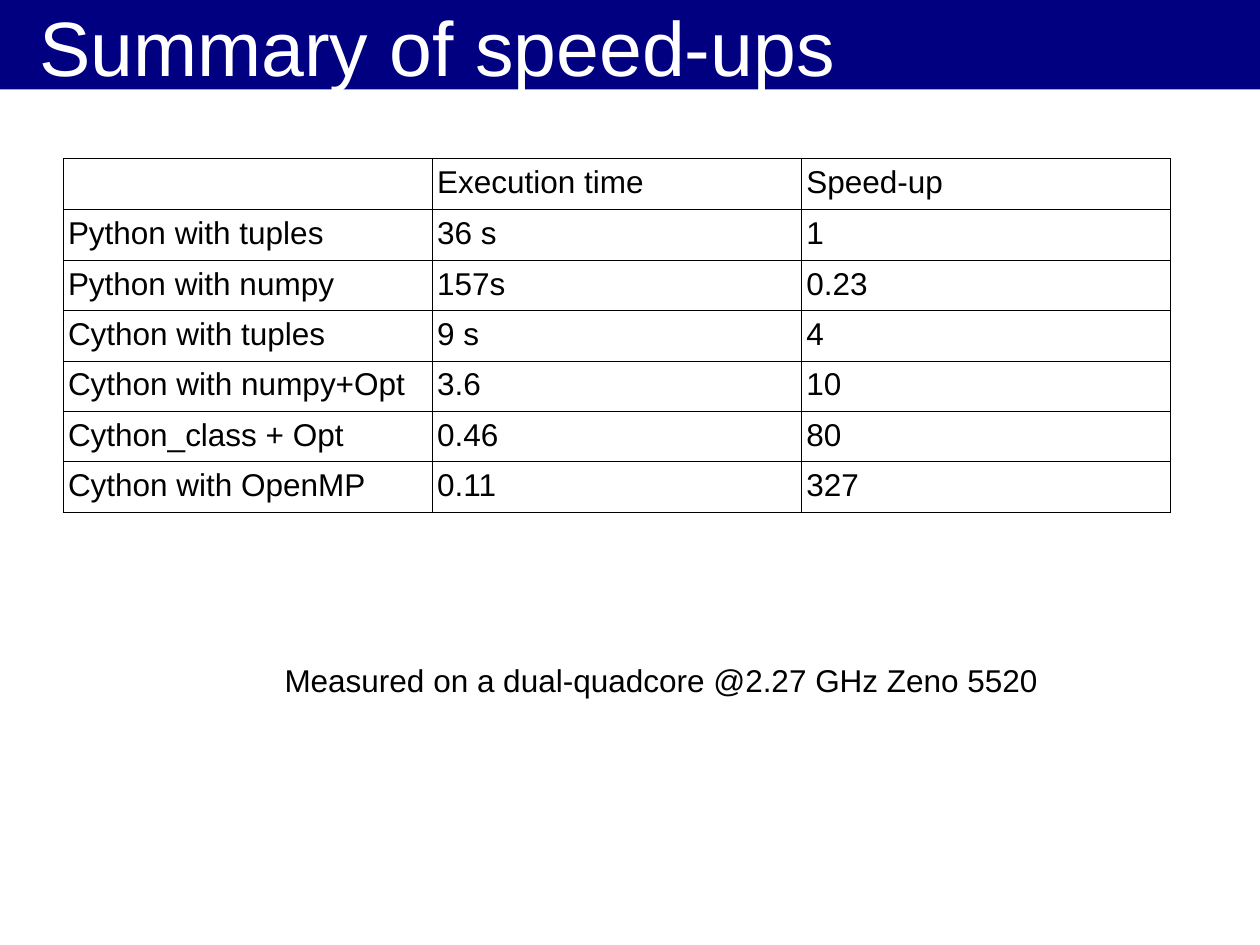
import pptx
import pptx.util
import pptx.dml.color
import pptx.enum.shapes
import pptx.enum.text
import pptx.oxml
import pptx.oxml.ns

Inches = pptx.util.Inches
Pt = pptx.util.Pt
RGBColor = pptx.dml.color.RGBColor
ANCHOR = pptx.enum.text.MSO_ANCHOR

TITLE = "Summary of speed-ups"
ROWS = [
    ("", "Execution time", "Speed-up"),
    ("Python with tuples", "36 s", "1"),
    ("Python with numpy", "157s", "0.23"),
    ("Cython with tuples", "9 s", "4"),
    ("Cython with numpy+Opt", "3.6", "10"),
    ("Cython_class + Opt", "0.46", "80"),
    ("Cython with OpenMP", "0.11", "327"),
]
NOTE = "Measured on a dual-quadcore @2.27 GHz Zeno 5520"

NAVY = RGBColor(0, 0, 128)
WHITE = RGBColor(255, 255, 255)
BLACK = RGBColor(0, 0, 0)
COL_W, ROW_H = 2.93, 0.4


def write(tf, text, size=18, color=BLACK):
    p = tf.paragraphs[0]
    p.alignment = pptx.enum.text.PP_ALIGN.LEFT
    p.font.size = Pt(size)
    if text:
        r = p.add_run()
        r.text = text
        r.font.name = "Arial"
        r.font.size = Pt(size)
        r.font.color.rgb = color


def add_borders(cell):
    pr = cell._tc.get_or_add_tcPr()
    for i, side in enumerate(("lnL", "lnR", "lnT", "lnB")):
        pr.insert(i, pptx.oxml.parse_xml(
            f'<a:{side} {pptx.oxml.ns.nsdecls("a")} w="{Pt(0.57)}">'
            f'<a:solidFill><a:srgbClr val="{BLACK}"/></a:solidFill></a:{side}>'))


def add_banner(slide, width):
    sp = slide.shapes.add_shape(
        pptx.enum.shapes.MSO_SHAPE.RECTANGLE, 0, 0, width, Inches(0.71))
    sp.shadow.inherit = False
    sp.fill.solid()
    sp.fill.fore_color.rgb = NAVY
    sp.line.fill.background()
    slide.shapes._spTree.insert(2, sp._element)


def add_title(slide):
    sp = slide.shapes.title
    sp.left, sp.top = Inches(0.31), Inches(0.02)
    sp.width, sp.height = Inches(9.69), Inches(0.69)
    tf = sp.text_frame
    tf.margin_left = tf.margin_right = tf.margin_top = tf.margin_bottom = 0
    tf.auto_size = pptx.enum.text.MSO_AUTO_SIZE.NONE
    tf.vertical_anchor = ANCHOR.MIDDLE
    write(tf, TITLE, size=44, color=WHITE)


def add_results(slide):
    n_rows, n_cols = len(ROWS), len(ROWS[0])
    table = slide.shapes.add_table(
        n_rows, n_cols, Inches(0.5), Inches(1.26),
        Inches(n_cols * COL_W), Inches(n_rows * ROW_H)).table
    table.first_row = table.horz_banding = False
    for col in table.columns:
        col.width = Inches(COL_W)
    for row, values in zip(table.rows, ROWS):
        row.height = Inches(ROW_H)
        for cell, text in zip(row.cells, values):
            cell.margin_left = cell.margin_right = Inches(0.04)
            cell.margin_top = cell.margin_bottom = Inches(0.05)
            cell.fill.background()
            add_borders(cell)
            write(cell.text_frame, text)


def add_note(slide):
    sp = slide.shapes.add_textbox(
        Inches(2.16), Inches(5.2), Inches(6.19), Inches(0.38))
    sp.text_frame.word_wrap = False
    write(sp.text_frame, NOTE)


def main():
    prs = pptx.Presentation()
    prs.slide_width, prs.slide_height = Inches(10), Inches(7.5)
    s = prs.slides.add_slide(prs.slide_layouts[5])
    add_banner(s, prs.slide_width)
    add_title(s)
    add_results(s)
    add_note(s)
    prs.save("out.pptx")


if __name__ == "__main__":
    main()
